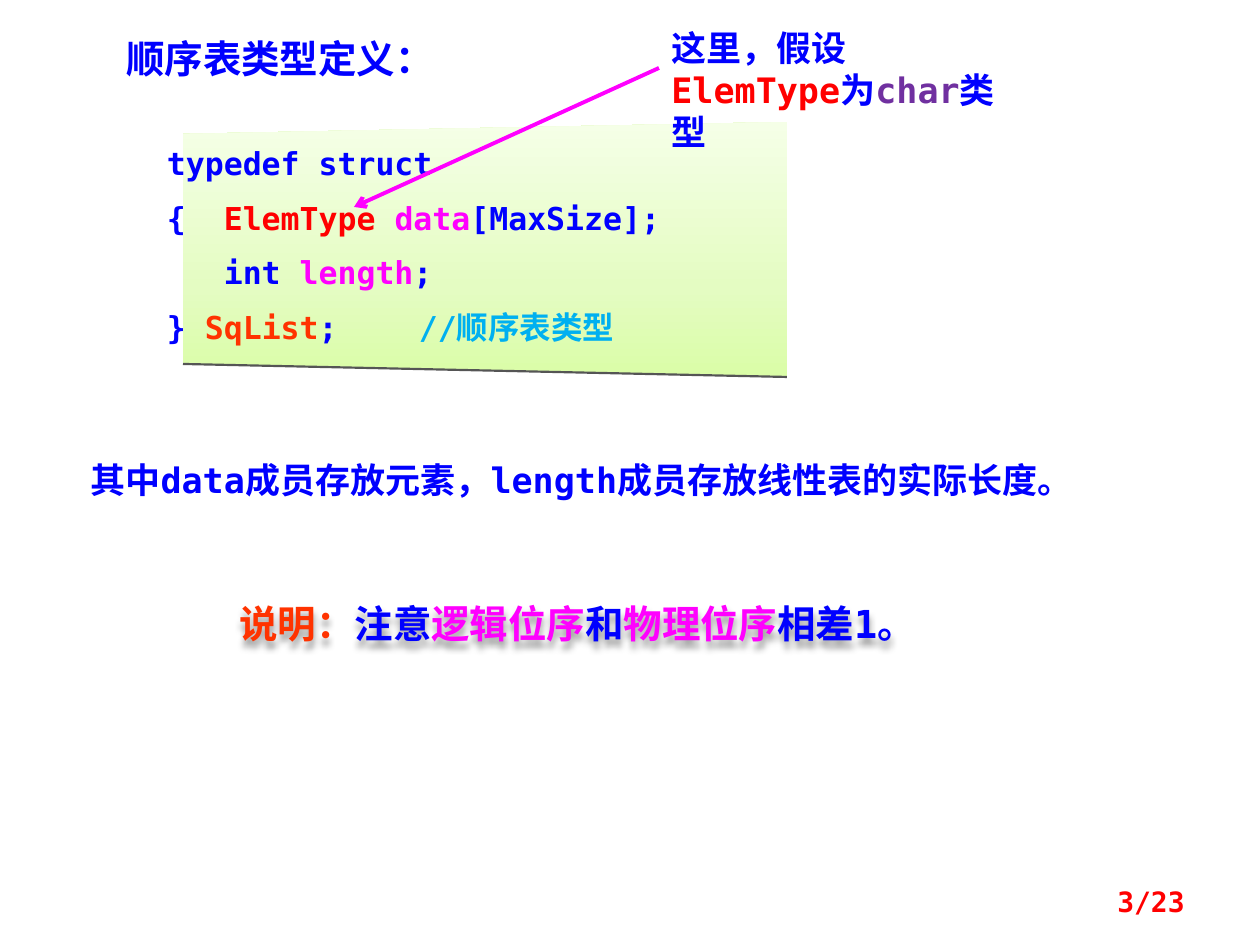
from lxml import etree
from pptx import Presentation
from pptx import util as u
from pptx.dml.color import RGBColor
from pptx.enum import shapes, text
from pptx.oxml.ns import qn

PX = 914400 / 126
FONT = "DejaVu Sans Mono"
COLORS = {
    "blue": "0000FF", "red": "FF0000", "magenta": "FF00FF",
    "orange": "FF3300", "sky": "00B0F0", "purple": "7030A0", "edge": "555555",
}
PANEL_STOPS = [(0, "DAFDA7"), (35, "E4FCC2"), (100, "F5FFE7")]
PANEL_CORNERS = [(183, 134), (787, 122), (787, 377), (183, 364)]
CODE = [
    [("typedef struct", "blue")],
    [("{  ", "blue"), ("ElemType ", "red"), ("data", "magenta"), ("[MaxSize];", "blue")],
    [("   int ", "blue"), ("length", "magenta"), (";", "blue")],
    [("} ", "blue"), ("SqList", "orange"), (";    \t", "blue"), ("//顺序表类型", "sky")],
]


def px(value):
    return u.Emu(round(value * PX))


def color(name):
    return RGBColor.from_string(COLORS[name])


def add_text(slide, box, lines, size, align=text.PP_ALIGN.LEFT, gap=0, spacing=None, inset=None):
    label = slide.shapes.add_textbox(*map(px, box))
    frame = label.text_frame
    frame.word_wrap = True
    if inset:
        frame.margin_left = frame.margin_right = px(inset[0])
        frame.margin_top = frame.margin_bottom = px(inset[1])
    for index, runs in enumerate(lines):
        paragraph = frame.add_paragraph() if index else frame.paragraphs[0]
        paragraph.alignment = align
        if index:
            paragraph.space_before = u.Pt(gap)
        if spacing:
            paragraph.line_spacing = spacing
        paragraph.font.name = FONT
        paragraph.font.size = u.Pt(size)
        paragraph.font.bold = True
        for words, tint in runs:
            run = paragraph.add_run()
            run.text = words
            run.font.color.rgb = color(tint)
    return label


def add_shadow(shape):
    effects = etree.SubElement(shape._element.spPr, qn("a:effectLst"))
    shadow = etree.SubElement(effects, qn("a:outerShdw"), blurRad="50800",
                              dist="38100", dir="5400000", algn="t", rotWithShape="0")
    black = etree.SubElement(shadow, qn("a:prstClr"), val="black")
    etree.SubElement(black, qn("a:alpha"), val="40000")


def add_panel(slide):
    builder = slide.shapes.build_freeform(*PANEL_CORNERS[0], scale=PX)
    builder.add_line_segments(PANEL_CORNERS[1:], close=True)
    panel = builder.convert_to_shape()
    panel.shadow.inherit = False
    panel.line.fill.background()
    panel.fill.gradient()
    panel.fill.gradient_angle = 90
    stops = panel._element.spPr.find(".//" + qn("a:gsLst"))
    for stop in list(stops):
        stops.remove(stop)
    for position, shade in PANEL_STOPS:
        stop = etree.SubElement(stops, qn("a:gs"), pos=str(position * 1000))
        etree.SubElement(stop, qn("a:srgbClr"), val=shade)


def add_line(slide, start, end, tint, width, arrow=False):
    line = slide.shapes.add_connector(
        shapes.MSO_CONNECTOR.STRAIGHT, *map(px, start + end))
    line.line.color.rgb = color(tint)
    line.line.width = u.Pt(width)
    if arrow:
        etree.SubElement(line.line._get_or_add_ln(), qn("a:tailEnd"), type="arrow")
    etree.SubElement(line._element.spPr, qn("a:effectLst"))


def main():
    deck = Presentation()
    deck.slide_width, deck.slide_height = px(1260), px(945)
    slide = deck.slides.add_slide(deck.slide_layouts[6])

    add_panel(slide)
    add_line(slide, PANEL_CORNERS[3], PANEL_CORNERS[2], "edge", 1.25)
    add_text(slide, (147, 129, 640, 239), CODE, 18, gap=9.7, inset=(20, 15))

    add_text(slide, (78, 452, 1113, 55),
             [[("其中data成员存放元素，length成员存放线性表的实际长度。", "blue")]], 20)
    add_text(slide, (98, 29, 364, 59), [[("顺序表类型定义：", "blue")]], 22,
             align=text.PP_ALIGN.CENTER)
    reminder = [("说明：", "orange"), ("注意", "blue"), ("逻辑位序", "magenta"),
                ("和", "blue"), ("物理位序", "magenta"), ("相差1。", "blue")]
    add_shadow(add_text(slide, (227, 571, 816, 74), [reminder], 22, spacing=1.5))

    page = add_text(slide, (903, 876, 294, 50), [[("3/23", "red")]], 16,
                    align=text.PP_ALIGN.RIGHT)
    page.text_frame.vertical_anchor = text.MSO_ANCHOR.MIDDLE

    assumption = [("这里，假设", "blue"), ("ElemType", "red"), ("为", "blue"),
                  ("char", "purple"), ("类型", "blue")]
    add_text(slide, (659, 20, 364, 97), [assumption], 20)
    add_line(slide, (659, 68), (354, 207), "magenta", 2.25, arrow=True)

    deck.save("out.pptx")


if __name__ == "__main__":
    main()
